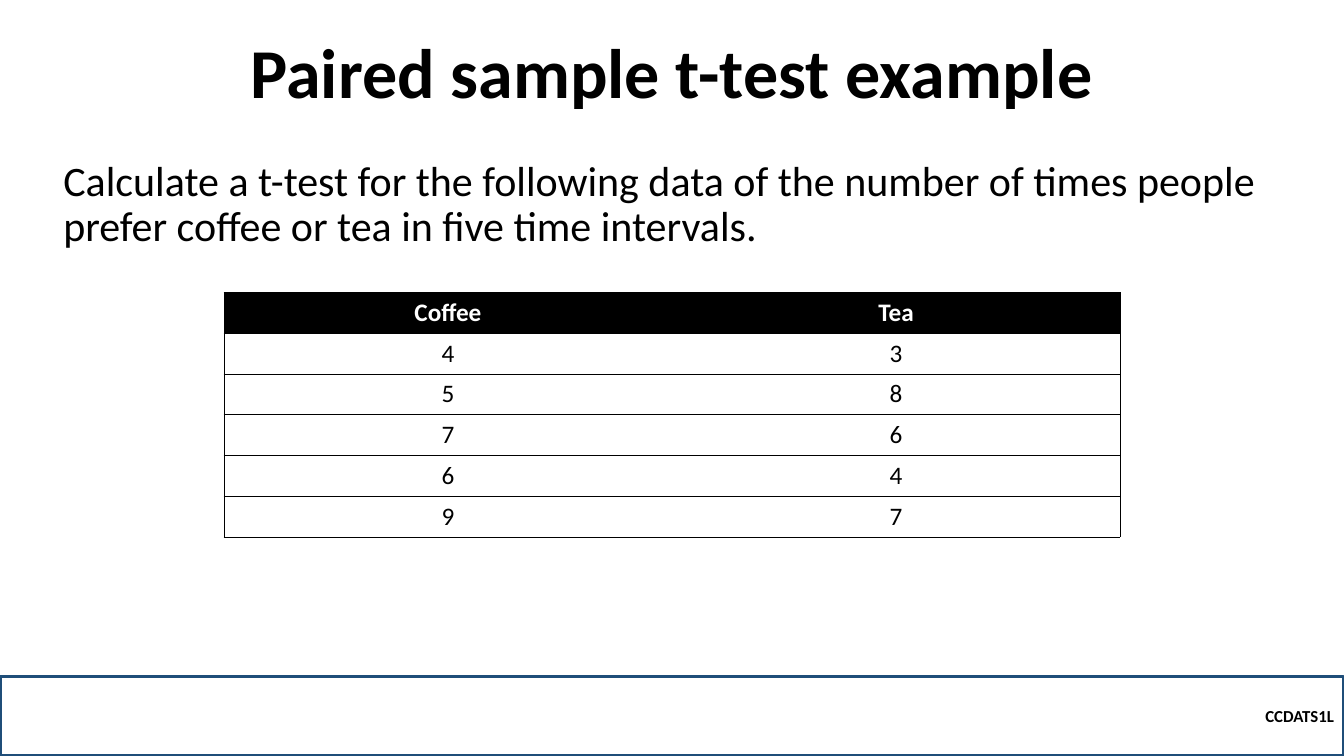
from lxml.etree import SubElement
from pptx import Presentation
from pptx.dml.color import RGBColor
from pptx.enum.shapes import MSO_SHAPE
from pptx.enum.text import MSO_ANCHOR, MSO_AUTO_SIZE, PP_ALIGN
from pptx.oxml.ns import qn
from pptx.util import Inches, Pt

COLORS = {"black": "000000", "white": "FFFFFF", "navy": "1F4E79"}
FONT = "Calibri"
PREFERENCES = [("Coffee", "Tea"), ("4", "3"), ("5", "8"), ("7", "6"), ("6", "4"), ("9", "7")]


def rgb(name):
    """Return a palette colour."""
    return RGBColor.from_string(COLORS[name])


def add_text(tf, text, size, align, color="black", bold=False, spacing=None):
    """Write one formatted run into the first paragraph of a text frame."""
    p = tf.paragraphs[0]
    p.alignment = align
    if spacing:
        p.line_spacing = spacing
    r = p.add_run()
    r.text = text
    r.font.name = FONT
    r.font.size = Pt(size)
    r.font.bold = bold
    r.font.color.rgb = rgb(color)


def set_border(cell, side, visible):
    """Draw or hide one border of a table cell."""
    ln = SubElement(cell._tc.get_or_add_tcPr(), qn(f"a:ln{side}"), w=str(Pt(0.5)))
    if visible:
        fill = SubElement(ln, qn("a:solidFill"))
        SubElement(fill, qn("a:srgbClr"), val=COLORS["black"])
    else:
        SubElement(ln, qn("a:noFill"))


def add_footer(s, x, y, w, h):
    """Add the outlined footer bar with the course code."""
    bar = s.shapes.add_shape(MSO_SHAPE.RECTANGLE, Inches(x), Inches(y), Inches(w), Inches(h))
    bar.shadow.inherit = False
    bar.fill.background()
    bar.line.color.rgb = rgb("navy")
    bar.line.width = Pt(2.25)
    tf = bar.text_frame
    tf.vertical_anchor = MSO_ANCHOR.MIDDLE
    add_text(tf, "CCDATS1L", 12, PP_ALIGN.RIGHT, bold=True)


def add_task(s, x, y, w, h):
    """Add the task description."""
    box = s.shapes.add_textbox(Inches(x), Inches(y), Inches(w), Inches(h))
    tf = box.text_frame
    tf.word_wrap = True
    tf.vertical_anchor = MSO_ANCHOR.BOTTOM
    add_text(tf, "Calculate a t-test for the following data of the number of times people "
             "prefer coffee or tea in five time intervals.", 30, PP_ALIGN.LEFT, spacing=0.9)


def place_title(s, x, y, w, h):
    """Move and fill the title placeholder."""
    title = s.shapes.title
    title.left, title.top, title.width, title.height = map(Inches, (x, y, w, h))
    tf = title.text_frame
    tf.auto_size = MSO_AUTO_SIZE.NONE
    tf.vertical_anchor = MSO_ANCHOR.BOTTOM
    add_text(tf, "Paired sample t-test example", 50, PP_ALIGN.CENTER, bold=True, spacing=0.9)


def add_preferences(s, x, y, w, h):
    """Add the table of coffee and tea counts."""
    n_cols = len(PREFERENCES[0])
    frame = s.shapes.add_table(len(PREFERENCES), n_cols, Inches(x), Inches(y), Inches(w), Inches(h))
    table = frame.table
    table.horz_banding = False
    for i, values in enumerate(PREFERENCES):
        header = i == 0
        for j, value in enumerate(values):
            cell = table.cell(i, j)
            visible = {"L": j == 0, "R": j == n_cols - 1, "T": True, "B": True}
            for side, shown in visible.items():
                set_border(cell, side, shown)
            cell.fill.solid()
            cell.fill.fore_color.rgb = rgb("black" if header else "white")
            add_text(cell.text_frame, value, 18, PP_ALIGN.CENTER,
                     "white" if header else "black", header)


def main():
    """Build and save the slide."""
    prs = Presentation()
    prs.slide_width, prs.slide_height = Inches(13.33), Inches(7.5)
    s = prs.slides.add_slide(prs.slide_layouts[5])
    add_footer(s, 0, 6.71, 13.33, 0.79)
    add_task(s, 0.53, 1.48, 12.33, 1.06)
    place_title(s, 0.5, 0.39, 12.33, 0.79)
    add_preferences(s, 2.22, 2.9, 8.89, 2.43)
    prs.save("out.pptx")


if __name__ == "__main__":
    main()
